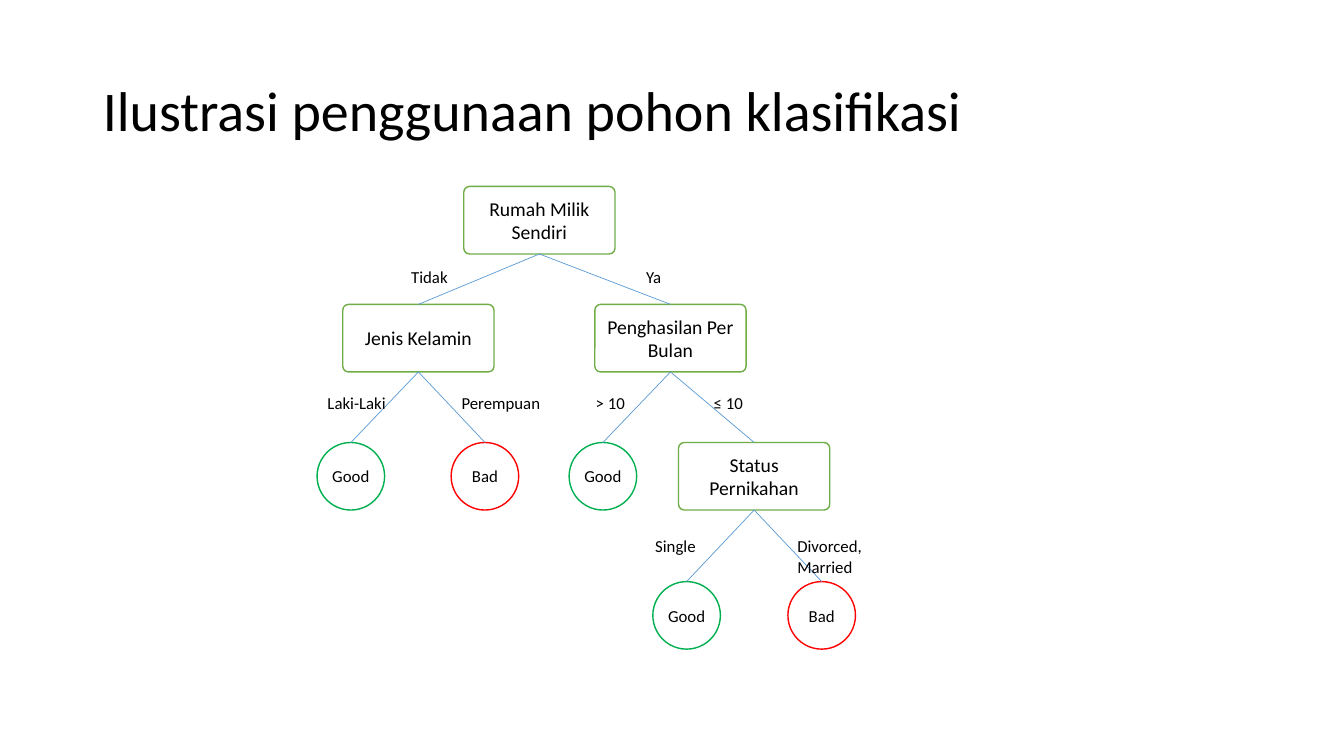
from lxml import etree
from pptx import Presentation
from pptx import util as u
from pptx.dml.color import RGBColor
from pptx.enum import shapes, text
from pptx.oxml.ns import qn

BLACK = RGBColor(0x00, 0x00, 0x00)
WHITE = RGBColor(0xFF, 0xFF, 0xFF)
QUESTION_GREEN = RGBColor(0x70, 0xAD, 0x47)
BRANCH_BLUE = RGBColor(0x5B, 0x9B, 0xD5)
OUTCOME_COLORS = {"Good": RGBColor(0x00, 0xB0, 0x50), "Bad": RGBColor(0xFF, 0x00, 0x00)}
FONT = "Calibri"
QUESTION_WIDTH = 1.5
NODE_HEIGHT = 0.67
LEVELS = (1.85, 3.02, 4.39, 5.77)


def write(shape, words, size, align):
    """Put one formatted paragraph into a shape."""
    frame = shape.text_frame
    frame.text = words
    frame.word_wrap = True
    para = frame.paragraphs[0]
    para.alignment = align
    font = para.runs[0].font
    font.name, font.size = FONT, u.Pt(size)
    font.color.rgb = BLACK
    return frame


def add_node(page, kind, words, center, level, width, color, size):
    """Draw an outlined tree node centred on a level."""
    node = page.shapes.add_shape(
        kind, u.Inches(center - width / 2), u.Inches(LEVELS[level]),
        u.Inches(width), u.Inches(NODE_HEIGHT))
    node.shadow.inherit = False
    node.fill.solid()
    node.fill.fore_color.rgb = WHITE
    node.line.color.rgb = color
    node.line.width = u.Pt(1)
    frame = write(node, words, size, text.PP_ALIGN.CENTER)
    frame.vertical_anchor = text.MSO_ANCHOR.MIDDLE
    return node


def add_question(page, words, center, level):
    """Draw a rounded decision node."""
    node = add_node(page, shapes.MSO_SHAPE.ROUNDED_RECTANGLE, words, center, level,
                    QUESTION_WIDTH, QUESTION_GREEN, 14)
    node.adjustments[0] = 0.085
    return node


def add_outcome(page, words, center, level):
    """Draw a round leaf coloured by its class."""
    node = add_node(page, shapes.MSO_SHAPE.OVAL, words, center, level,
                    NODE_HEIGHT, OUTCOME_COLORS[words], 12)
    node.text_frame.margin_left = node.text_frame.margin_right = 0
    return node


def add_branch(page, parent, child):
    """Join the bottom of a parent to the top of a child."""
    branch = page.shapes.add_connector(shapes.MSO_CONNECTOR.STRAIGHT, 0, 0, 0, 0)
    branch.begin_connect(parent, 2)
    branch.end_connect(child, 0)
    branch.line.color.rgb = BRANCH_BLUE
    branch.line.width = u.Pt(0.5)
    etree.SubElement(branch.element.spPr, qn("a:effectLst"))


def add_label(page, words, left, top, width=0.83, height=0.3):
    """Write the condition beside a branch."""
    box = page.shapes.add_textbox(
        u.Inches(left), u.Inches(top), u.Inches(width), u.Inches(height))
    frame = write(box, words, 12, text.PP_ALIGN.LEFT)
    frame.auto_size = text.MSO_AUTO_SIZE.SHAPE_TO_FIT_TEXT


def set_title(page, words):
    """Place and format the slide title."""
    title = page.shapes.title
    title.left, title.top = u.Inches(0.92), u.Inches(0.4)
    title.width, title.height = u.Inches(11.5), u.Inches(1.45)
    frame = write(title, words, 40, text.PP_ALIGN.LEFT)
    frame.auto_size = text.MSO_AUTO_SIZE.NONE
    frame.vertical_anchor = text.MSO_ANCHOR.MIDDLE
    frame.paragraphs[0].line_spacing = 0.9


def main():
    """Build the classification tree slide."""
    deck = Presentation()
    deck.slide_width, deck.slide_height = u.Inches(13.33), u.Inches(7.5)
    page = deck.slides.add_slide(deck.slide_layouts[5])
    set_title(page, "Ilustrasi penggunaan pohon klasifikasi")

    house = add_question(page, "Rumah Milik Sendiri", 5.35, 0)
    gender = add_question(page, "Jenis Kelamin", 4.15, 1)
    income = add_question(page, "Penghasilan Per Bulan", 6.65, 1)
    marital = add_question(page, "Status Pernikahan", 7.48, 2)
    for parent, child in ((house, gender), (house, income), (income, marital)):
        add_branch(page, parent, child)

    for parent, words, center, level in (
            (gender, "Good", 3.48, 2), (gender, "Bad", 4.81, 2),
            (income, "Good", 5.98, 2),
            (marital, "Good", 6.81, 3), (marital, "Bad", 8.15, 3)):
        add_branch(page, parent, add_outcome(page, words, center, level))

    for words, left, top in (
            ("Tidak", 3.98, 2.6), ("Ya", 6.31, 2.6), ("Laki-Laki", 3.15, 3.85),
            ("> 10", 5.81, 3.85), ("≤ 10", 6.98, 3.85), ("Single", 6.4, 5.27)):
        add_label(page, words, left, top)
    add_label(page, "Perempuan", 4.48, 3.85, width=1)
    add_label(page, "Divorced, Married", 7.81, 5.27, width=1, height=0.5)
    deck.save("out.pptx")


if __name__ == "__main__":
    main()
